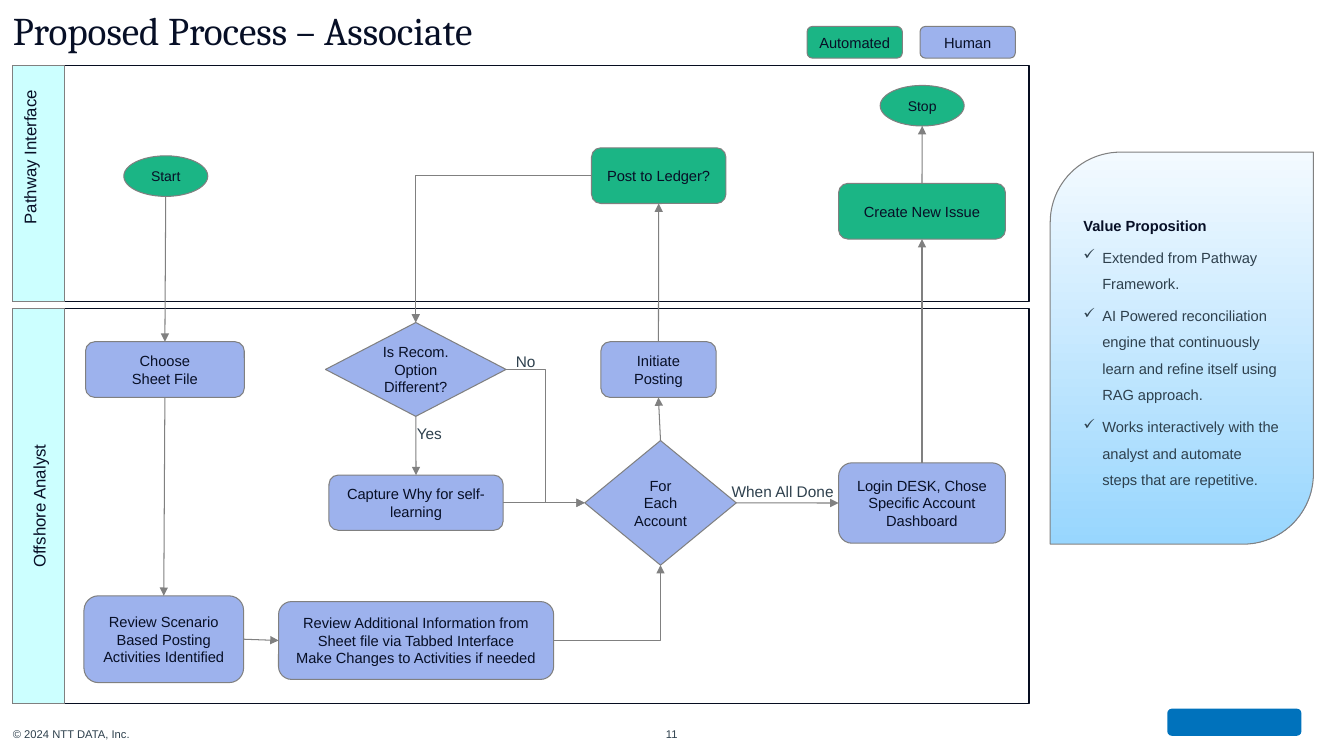
import pptx
import pptx.dml.color
import pptx.enum.dml
import pptx.enum.shapes
import pptx.enum.text
import pptx.oxml.ns
import pptx.util
import lxml.etree

Pt = pptx.util.Pt
qn = pptx.oxml.ns.qn
SHAPE = pptx.enum.shapes.MSO_SHAPE
CONNECTOR = pptx.enum.shapes.MSO_CONNECTOR
ALIGN = pptx.enum.text.PP_ALIGN
ANCHOR = pptx.enum.text.MSO_ANCHOR

INK, SLATE, GREY = "070F26", "2E404D", "808080"
GREEN, PERIWINKLE, CYAN = "1BB585", "9DB2ED", "CCFFFF"


def color(hex_string):
    return pptx.dml.color.RGBColor.from_string(hex_string)


def add_text(frame, text, size=10.5, font="Arial", ink=INK, bold=False,
             align=ALIGN.CENTER, anchor=ANCHOR.MIDDLE, insets=(7.2, 3.6, 7.2, 3.6),
             line_spacing=None, space_after=None, bullet=None, append=False):
    """Write one paragraph per line of text into a text frame."""
    frame.word_wrap = True
    frame.vertical_anchor = anchor
    (frame.margin_left, frame.margin_top,
     frame.margin_right, frame.margin_bottom) = map(Pt, insets)
    for index, line in enumerate(text.split("\n")):
        new = append or index > 0
        paragraph = frame.add_paragraph() if new else frame.paragraphs[0]
        if bullet:
            properties = paragraph._p.get_or_add_pPr()
            properties.set("marL", str(Pt(13.5)))
            properties.set("indent", str(-Pt(13.5)))
            lxml.etree.SubElement(properties, qn("a:buChar")).set("char", bullet)
        paragraph.alignment = align
        if line_spacing:
            paragraph.line_spacing = line_spacing
        if space_after:
            paragraph.space_after = Pt(space_after)
        run = paragraph.add_run()
        run.text = line
        run.font.size = Pt(size)
        run.font.name = font
        run.font.bold = bold
        run.font.color.rgb = color(ink)


def side(shape, name):
    """Middle point of one side of a shape."""
    across = {"left": 0, "right": 1}.get(name, 0.5)
    down = {"top": 0, "bottom": 1}.get(name, 0.5)
    return (int(shape.left + across * shape.width),
            int(shape.top + down * shape.height))


class Flowchart:
    """Drawing style and the current slide."""

    def __init__(self, slide):
        self.shapes = slide.shapes

    def box(self, kind, left, top, width, height, fill=None, line=GREY, weight=0.75):
        shape = self.shapes.add_shape(kind, *map(Pt, (left, top, width, height)))
        shape.shadow.inherit = False
        if fill:
            shape.fill.solid()
            shape.fill.fore_color.rgb = color(fill)
        else:
            shape.fill.background()
        if line:
            shape.line.color.rgb = color(line)
            shape.line.width = Pt(weight)
        else:
            shape.line.fill.background()
        return shape

    def step(self, text, left, top, width, height, fill=PERIWINKLE,
             kind=SHAPE.ROUNDED_RECTANGLE, size=10.5):
        shape = self.box(kind, left, top, width, height, fill)
        add_text(shape.text_frame, text, size=size)
        return shape

    def terminal(self, text, left, top):
        return self.step(text, left, top, 60, 29, GREEN, SHAPE.OVAL, 10)

    def lane(self, text, top, height, insets):
        self.box(SHAPE.RECTANGLE, 9.2, top, 725.8, height, line="060D20", weight=1)
        header = self.box(SHAPE.RECTANGLE, 9.2, top, 37, height, CYAN)
        add_text(header.text_frame, text, size=12, insets=insets)
        header.text_frame._txBody.bodyPr.set("vert", "vert270")

    def label(self, text, left, top, width, height, **style):
        text_box = self.shapes.add_textbox(*map(Pt, (left, top, width, height)))
        add_text(text_box.text_frame, text,
                 **{"align": ALIGN.LEFT, "anchor": ANCHOR.TOP, "ink": SLATE, **style})
        return text_box

    def arrow(self, source, source_side, target, target_side, route=None):
        """Join two shapes; route is None or the name of a bent preset."""
        connector = self.shapes.add_connector(
            CONNECTOR.ELBOW if route else CONNECTOR.STRAIGHT,
            *side(source, source_side), *side(target, target_side))
        connector.line.color.rgb = color(GREY)
        connector.line.width = Pt(0.75)
        properties = connector._element.spPr
        if route:
            properties.find(qn("a:prstGeom")).set("prst", route)
        head = lxml.etree.SubElement(properties.find(qn("a:ln")), qn("a:tailEnd"))
        head.set("type", "triangle")
        lxml.etree.SubElement(properties, qn("a:effectLst"))

    def value_card(self, left, top, width, height):
        card = self.box(SHAPE.ROUND_2_DIAG_RECTANGLE, left, top, width, height)
        card.adjustments[0] = 0.267
        card.fill.gradient()
        card.fill.gradient_angle = 270
        for stop, position, shade in zip(card.fill.gradient_stops, (0, 1),
                                         ("F3FAFF", "98D6FE")):
            stop.position = position
            stop.color.rgb = color(shade)


def main():
    presentation = pptx.Presentation()
    presentation.slide_width, presentation.slide_height = Pt(960), Pt(540)
    chart = Flowchart(presentation.slides.add_slide(presentation.slide_layouts[6]))

    # Title, footer and brand mark
    chart.label("Proposed Process – Associate", 9.2, 5, 941, 31, size=28,
                font="Cambria", ink=INK, insets=(0, 3.6, 0, 3.6), line_spacing=0.9)
    chart.label("© 2024 NTT DATA, Inc.", 9.2, 512.6, 324, 24, size=8,
                anchor=ANCHOR.MIDDLE, insets=(0, 0, 0, 0))
    chart.label("11", 437.8, 512.6, 84, 24, size=8,
                align=ALIGN.CENTER, anchor=ANCHOR.MIDDLE)
    chart.box(SHAPE.ROUNDED_RECTANGLE, 833.8, 506.2, 95.8, 19.4, "0072BC", line=None)

    # Swimlanes
    chart.lane("Pathway Interface", 47, 168.5, (0, 3.6, 13, 45))
    chart.lane("Offshore Analyst", 220.3, 282.2, (7.2, 3.6, 7.2, 3.6))

    # Legend
    for name, left, fill in (("Automated", 576.5, GREEN), ("Human", 657.2, PERIWINKLE)):
        chart.step(name, left, 18.9, 68, 22.6, fill)

    # Automated steps
    start = chart.terminal("Start", 88.4, 111.3)
    stop = chart.terminal("Stop", 628.7, 61)
    post = chart.step("Post to Ledger?", 422.5, 105.6, 96, 39.8, GREEN)
    create = chart.step("Create New Issue", 599, 131, 119.2, 39.8, GREEN)

    # Human steps
    choose = chart.step("Choose\nSheet File", 61.1, 244.1, 113.4, 39.8)
    review = chart.step("Review Scenario Based Posting Activities Identified",
                        60, 425.6, 114, 62)
    details = chart.step("Review Additional Information from Sheet file via Tabbed "
                         "Interface\nMake Changes to Activities if needed",
                         199, 429.7, 196.5, 55.6)
    initiate = chart.step("Initiate Posting", 429.2, 244.1, 82.3, 39.8)
    account = chart.step("For Each Account", 417.7, 314.7, 108.2, 89, kind=SHAPE.DIAMOND)
    login = chart.step("Login DESK, Chose Specific Account Dashboard",
                       599, 330.6, 119.2, 57.4)
    different = chart.step("Is Recom. Option Different?", 232.5, 230.4, 129, 67,
                           kind=SHAPE.DIAMOND)
    capture = chart.step("Capture Why for self-learning", 235, 339.4, 124.4, 39.4)

    # Flow
    for link in (
        (start, "bottom", choose, "top"),
        (choose, "bottom", review, "top"),
        (review, "right", details, "left"),
        (details, "right", account, "bottom", "bentConnector2"),
        (account, "top", initiate, "bottom"),
        (initiate, "top", post, "bottom"),
        (post, "left", different, "top", "bentConnector2"),
        (different, "bottom", capture, "top"),
        (different, "right", account, "left", "bentConnector3"),
        (capture, "right", account, "left", "bentConnector3"),
        (account, "right", login, "left"),
        (login, "top", create, "bottom"),
        (create, "top", stop, "bottom"),
    ):
        chart.arrow(*link)
    for text, left, top, width in (("When All Done", 515.5, 340.6, 91),
                                   ("Yes", 290.6, 299.2, 34),
                                   ("No", 361.4, 248.1, 34)):
        chart.label(text, left, top, width, 20.6, size=11)

    # Value proposition
    chart.value_card(750.2, 108.7, 188, 280)
    values = chart.label("Value Proposition", 766.8, 144.7, 154.8, 208, ink=INK,
                         bold=True, line_spacing=1.5, space_after=4)
    add_text(values.text_frame,
             "Extended from Pathway Framework.\n"
             "AI Powered reconciliation engine that continuously learn and refine "
             "itself using RAG approach.\n"
             "Works interactively with the analyst and automate steps that are repetitive.",
             ink=SLATE, align=ALIGN.LEFT, anchor=ANCHOR.TOP, line_spacing=1.5,
             space_after=4, bullet="✓", append=True)

    presentation.save("out.pptx")


if __name__ == "__main__":
    main()
